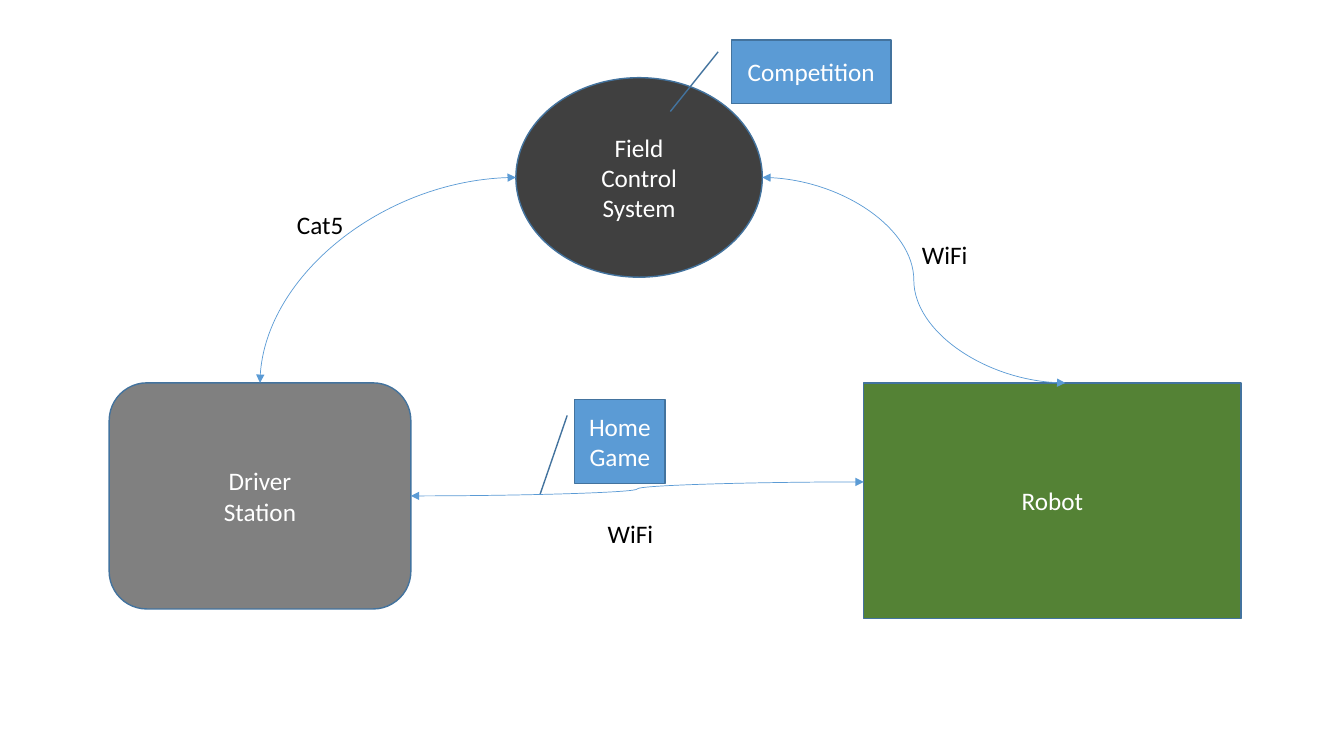
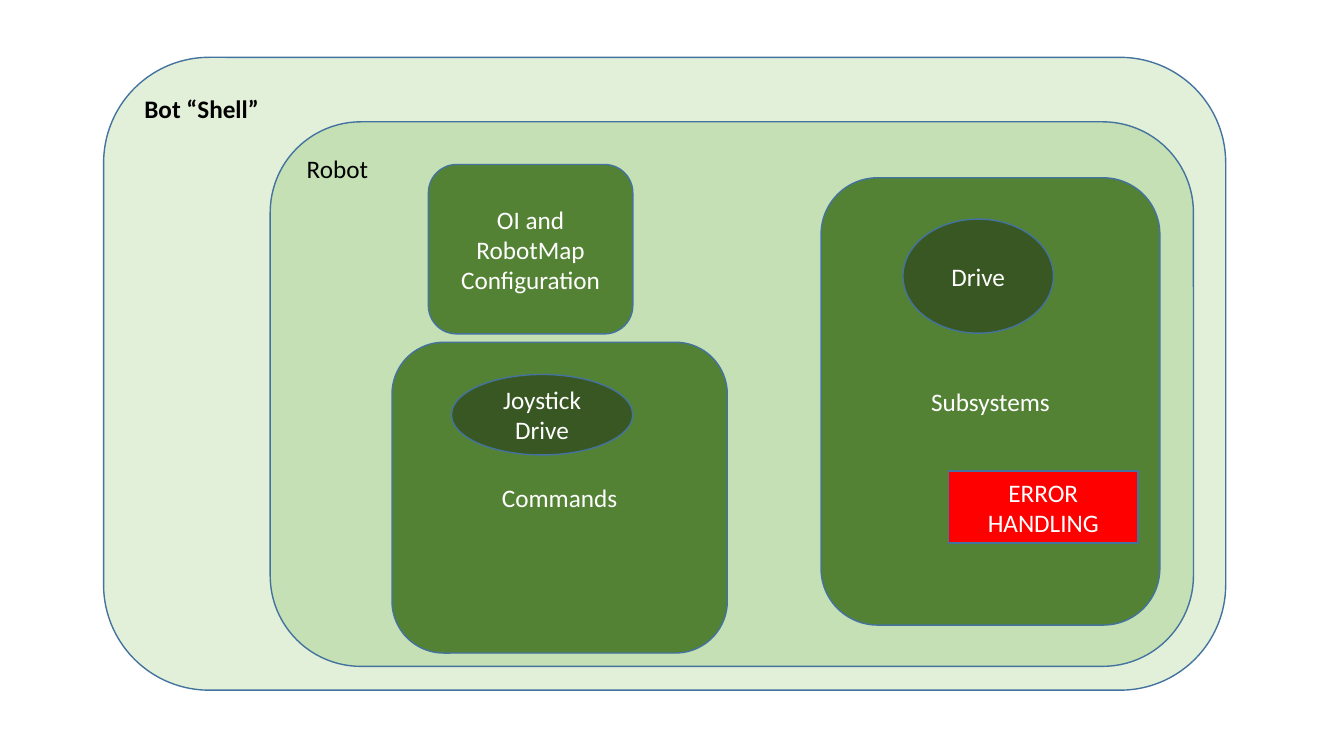
from pptx import Presentation
from pptx.dml.color import RGBColor
from pptx.enum.shapes import MSO_CONNECTOR, MSO_SHAPE
from pptx.enum.text import MSO_ANCHOR, MSO_AUTO_SIZE, PP_ALIGN
from pptx.oxml.ns import qn
from pptx.util import Pt
from lxml import etree

ROUND = MSO_SHAPE.ROUNDED_RECTANGLE
RECT = MSO_SHAPE.RECTANGLE
OVAL = MSO_SHAPE.OVAL
CALL = MSO_SHAPE.LINE_CALLOUT_1
CURVE = MSO_CONNECTOR.CURVE
TOP, MIDDLE = MSO_ANCHOR.TOP, MSO_ANCHOR.MIDDLE
LEFT, CENTER = PP_ALIGN.LEFT, PP_ALIGN.CENTER
GROW = MSO_AUTO_SIZE.SHAPE_TO_FIT_TEXT

THEME = {
    "font": "Calibri", "size": 18, "edge": 1, "wire": 0.5,
    "white": "FFFFFF", "black": "000000", "outline": "43739E",
    "blue": "5B9BD5", "gray": "808080", "dark": "404040",
    "green": "548235", "deep": "385723", "pale": "E2F0D9",
    "light": "C5E0B4", "red": "FF0000",
}


def tint(name):
    """Return the theme colour of that name."""
    return RGBColor.from_string(THEME[name])


def write(shape, text, color="white", align=CENTER, anchor=MIDDLE, **more):
    """Put text in a shape, one paragraph a line; more holds font values."""
    frame = shape.text_frame
    frame.word_wrap = True
    frame.vertical_anchor = anchor
    frame.text = text
    look = {"name": THEME["font"], "size": Pt(THEME["size"]), **more}
    for para in frame.paragraphs:
        para.alignment = align
        para.font.color.rgb = tint(color)
        for key, value in look.items():
            setattr(para.font, key, value)


deck = Presentation()
deck.slide_width, deck.slide_height = Pt(960), Pt(540)
blank = deck.slide_layouts[6]

corner = {"color": "black", "align": LEFT, "anchor": TOP}
links = [
    (ROUND, (78, 273.5, 215.5, 161.5), "gray", "Driver\nStation", {}),
    (OVAL, (368.5, 55.5, 176, 142.5), "dark", "Field\nControl\nSystem", {}),
    (RECT, (617, 273.5, 269.5, 168.5), "green", "Robot", {}),
    (CALL, (522.5, 28.5, 114, 45.5), "blue", "Competition", {}),
    (CALL, (410.5, 285.5, 64.5, 60), "blue", "Home\nGame", {}),
]
layers = [
    (ROUND, (74, 41, 801.5, 452), "pale", "Bot “Shell”",
     {**corner, "bold": True}),
    (ROUND, (193, 87, 659.5, 389), "light", "Robot", corner),
    (ROUND, (306, 117.5, 146, 121), "green",
     "OI and RobotMap\nConfiguration", {}),
    (ROUND, (280, 244.5, 239.5, 222), "green", "Commands", {}),
    (ROUND, (586.5, 127, 242, 319.5), "green", "Subsystems", {}),
    (OVAL, (322.5, 267.5, 129.5, 57.5), "deep", "Joystick Drive", {}),
    (OVAL, (645, 156.5, 107.5, 81.5), "deep", "Drive", {}),
    (RECT, (677.5, 336.5, 135.5, 51.5), "red", "ERROR HANDLING", {}),
]

pages = []
for items in (links, layers):
    page = deck.slides.add_slide(blank)
    pages.append(page)
    for kind, place, fill, text, style in items:
        shape = page.shapes.add_shape(kind, *map(Pt, place))
        shape.shadow.inherit = False
        shape.fill.solid()
        shape.fill.fore_color.rgb = tint(fill)
        shape.line.color.rgb = tint("outline")
        shape.line.width = Pt(THEME["edge"])
        write(shape, text, **style)

# Two-way links between the three machines
page = pages[0]
station, field = page.shapes[0], page.shapes[1]
wires = []
for ends in ((368.5, 126.75, 185.75, 273.5),
             (544.5, 126.75, 761, 273.5),
             (293.5, 354.25, 617, 344.25)):
    wire = page.shapes.add_connector(CURVE, *map(Pt, ends))
    wire.line.color.rgb = tint("blue")
    wire.line.width = Pt(THEME["wire"])
    props = wire.element.spPr
    for tip in ("a:headEnd", "a:tailEnd"):
        etree.SubElement(props.find(qn("a:ln")), qn(tip), type="triangle")
    etree.SubElement(props, qn("a:effectLst"))
    wires.append(wire)

# An oval counts its left side as site 2, so the end is set back there
cable, _, radio = wires
cable.element.spPr.find(qn("a:prstGeom")).set("prst", "curvedConnector2")
cable.begin_connect(field, 2)
cable.begin_x, cable.begin_y = Pt(368.5), Pt(126.75)
cable.end_connect(station, 0)
radio.begin_connect(station, 3)

for text, place, wrap in (("Cat5", (205, 146, 56, 29), True),
                          ("WiFi", (651.5, 167.5, 47.5, 29), False),
                          ("WiFi", (427, 366.5, 47.5, 29), False)):
    label = page.shapes.add_textbox(*map(Pt, place))
    write(label, text, **corner)
    label.text_frame.word_wrap = wrap
    label.text_frame.auto_size = GROW

deck.save("out.pptx")
